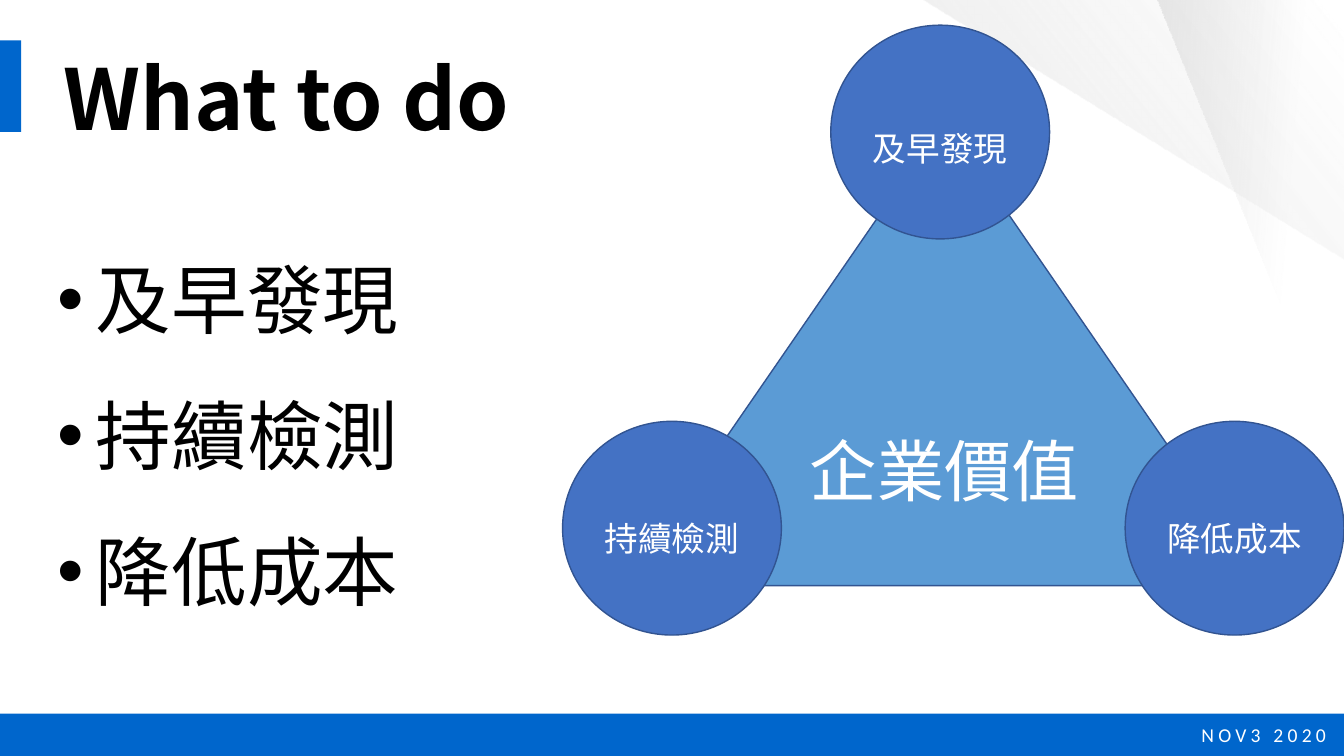
from dataclasses import dataclass

from lxml import etree
from pptx import Presentation
from pptx.dml.color import RGBColor
from pptx.enum.shapes import MSO_SHAPE
from pptx.enum.text import MSO_ANCHOR, MSO_AUTO_SIZE, PP_ALIGN
from pptx.oxml import parse_xml
from pptx.oxml.ns import nsdecls, qn
from pptx.util import Inches, Pt

RECTANGLE = MSO_SHAPE.RECTANGLE
TRIANGLE = MSO_SHAPE.ISOSCELES_TRIANGLE
CIRCLE = MSO_SHAPE.FLOWCHART_CONNECTOR
TOP, MIDDLE = MSO_ANCHOR.TOP, MSO_ANCHOR.MIDDLE
LEFT, CENTER, RIGHT = PP_ALIGN.LEFT, PP_ALIGN.CENTER, PP_ALIGN.RIGHT
FIXED_SIZE = MSO_AUTO_SIZE.NONE


@dataclass(frozen=True)
class Theme:
    brand: str = "0066CC"
    triangle: str = "5B9BD5"
    circle: str = "4472C4"
    outline: str = "325491"
    sheet: str = "D9D9D9"
    dark: str = "000000"
    light: str = "FFFFFF"
    font: str = "Noto Sans CJK SC"
    footer_font: str = "Calibri"
    title_size: int = 60
    list_size: int = 54
    value_size: int = 48
    circle_size: int = 24
    footer_size: int = 14


THEME = Theme()


def add_text(paragraph, words, size, color, font=THEME.font):
    """Append a run set in one font for both Latin and East Asian letters."""
    run = paragraph.add_run()
    run.text = words
    run.font.size = Pt(size)
    run.font.name = font
    run.font.color.rgb = RGBColor.from_string(color)
    east_asian = etree.Element(qn("a:ea"), typeface=font)
    run.font._element.find(qn("a:latin")).addnext(east_asian)
    return run


def add_block(kind, box, fill, outline=None):
    """Add a flat preset shape with centred text and no side margins."""
    block = slide.shapes.add_shape(kind, *map(Inches, box))
    block.shadow.inherit = False
    block.fill.solid()
    block.fill.fore_color.rgb = RGBColor.from_string(fill)
    if outline:
        block.line.color.rgb = RGBColor.from_string(outline)
        block.line.width = Pt(1)
    else:
        block.line.fill.background()
    frame = block.text_frame
    frame.vertical_anchor = MIDDLE
    frame.margin_left = frame.margin_right = 0
    frame.paragraphs[0].alignment = CENTER
    return block


deck = Presentation()
deck.slide_width, deck.slide_height = Inches(13.33), Inches(7.5)
slide = deck.slides.add_slide(deck.slide_layouts[1])

# Translucent sheets in the top right corner: outline, angle, (stop, opacity) in percent
sheets = [
    ([(11.48, 0), (13.33, 0), (13.33, 4.6)], 4.7, [(0, 60), (66, 0), (100, 0)]),
    ([(9.15, 0), (13.08, 0), (13.33, 0.31), (13.33, 2.57)], 321.3,
     [(0, 38), (31, 38), (96, 0), (100, 0)]),
]
for corners, angle, stops in sheets:
    points = [(Inches(x), Inches(y)) for x, y in corners]
    builder = slide.shapes.build_freeform(*points[0])
    builder.add_line_segments(points[1:], close=True)
    sheet = builder.convert_to_shape()
    sheet.shadow.inherit = False
    sheet.line.fill.background()
    stop_xml = "".join(
        f'<a:gs pos="{stop * 1000}"><a:srgbClr val="{THEME.sheet}">'
        f'<a:alpha val="{opacity * 1000}"/></a:srgbClr></a:gs>'
        for stop, opacity in stops)
    gradient = parse_xml(
        f'<a:gradFill {nsdecls("a")} rotWithShape="1"><a:gsLst>{stop_xml}</a:gsLst>'
        f'<a:lin ang="{round(angle * 60000)}" scaled="0"/></a:gradFill>')
    sheet._element.spPr.find(qn("a:custGeom")).addnext(gradient)

# Brand bars and footer
add_block(RECTANGLE, (0, 7.08, 13.33, 0.42), THEME.brand)
add_block(RECTANGLE, (0, 0.4, 0.21, 0.91), THEME.brand)
footer = slide.shapes.add_textbox(*map(Inches, (11.45, 7.12, 1.8, 0.34))).text_frame
footer.word_wrap = True
footer.paragraphs[0].alignment = RIGHT
event = add_text(footer.paragraphs[0], "NOV3 2020", THEME.footer_size,
                 THEME.light, THEME.footer_font)
event.font._element.set("spc", "300")

# Value triangle with a circle at each corner
value = add_block(TRIANGLE, (6.19, 1.2, 6.35, 4.61), THEME.triangle, THEME.outline)
add_text(value.text_frame.paragraphs[0], "企業價值", THEME.value_size, THEME.light)

actions = [("及早發現", 8.24, 0.25, 1.8),
           ("持續檢測", 5.58, 4.18, 1.5),
           ("降低成本", 11.16, 4.18, 1.5)]
for action, left, top, spacing in actions:
    circle = add_block(CIRCLE, (left, top, 2.17, 2.12), THEME.circle, THEME.outline)
    label = circle.text_frame.paragraphs[0]
    label.line_spacing = spacing
    add_text(label, action, THEME.circle_size, THEME.light)

# Title and list
title, body = slide.shapes.title, slide.placeholders[1]
for holder, box in ((title, (0.53, 0.41, 4.76, 1.11)), (body, (0.47, 2.01, 9.26, 4.04))):
    holder.left, holder.top, holder.width, holder.height = map(Inches, box)
    holder.text_frame.vertical_anchor = TOP
    holder.text_frame.auto_size = FIXED_SIZE

title.text_frame.word_wrap = False
heading = title.text_frame.paragraphs[0]
heading.alignment = LEFT
add_text(heading, "What to do", THEME.title_size, THEME.dark).font.bold = True

for index, (action, *_) in enumerate(actions):
    item = body.text_frame.add_paragraph() if index else body.text_frame.paragraphs[0]
    item.line_spacing = 1.5
    item.space_before = Pt(0)
    add_text(item, action, THEME.list_size, THEME.dark)
    properties = item._p.get_or_add_pPr()
    properties.set("marL", str(Inches(0.38)))
    properties.set("indent", str(Inches(-0.38)))
    etree.SubElement(properties, qn("a:buFont"), typeface="Arial")
    etree.SubElement(properties, qn("a:buChar"), char="•")

deck.save("out.pptx")
